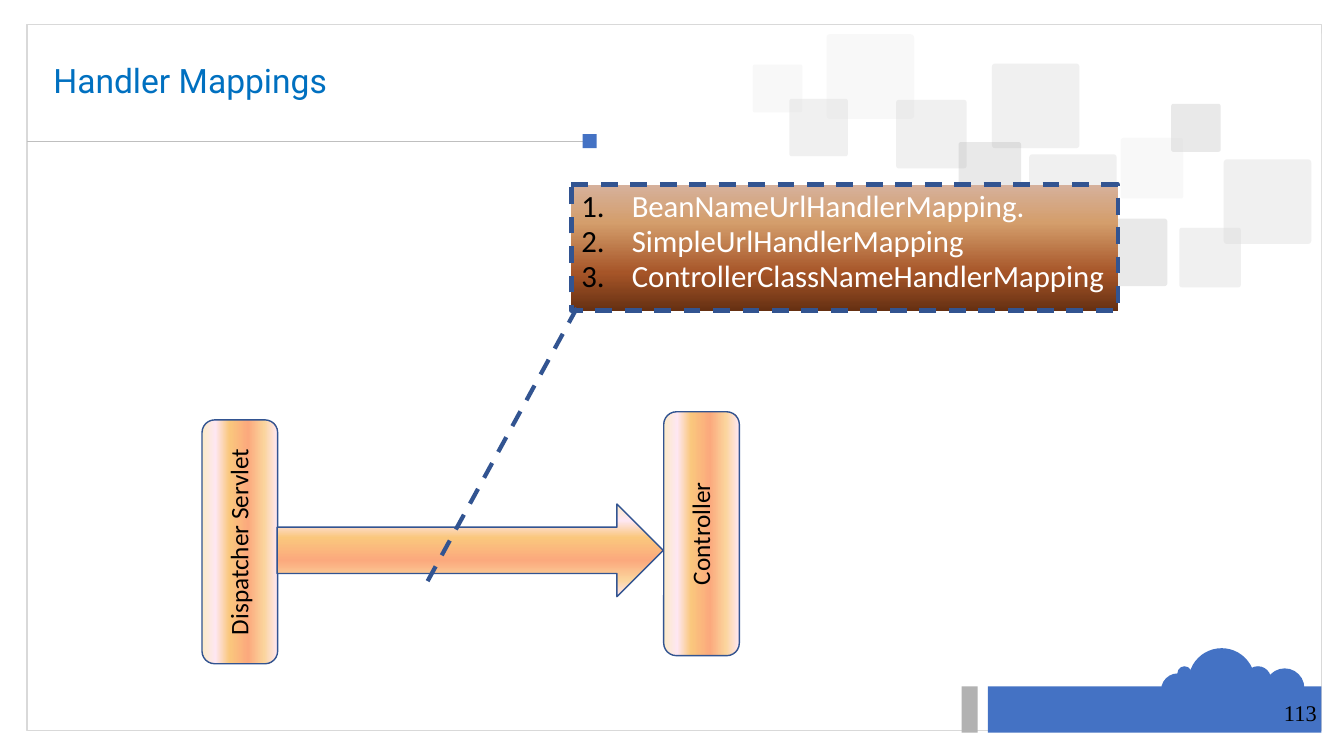
"""Builds the Handler Mappings slide: dispatcher, controller and a numbered callout."""
from lxml.etree import SubElement
from pptx import Presentation
from pptx.dml.color import RGBColor
from pptx.enum.dml import MSO_LINE
from pptx.enum.shapes import MSO_CONNECTOR, MSO_SHAPE
from pptx.enum.text import MSO_ANCHOR, PP_ALIGN
from pptx.oxml.ns import qn
from pptx.util import Pt

BLACK = RGBColor(0x00, 0x00, 0x00)
WHITE = RGBColor(0xFF, 0xFF, 0xFF)
BLUE = RGBColor(0x44, 0x72, 0xC4)
TITLE_BLUE = RGBColor(0x00, 0x70, 0xC0)
NAVY = RGBColor(0x32, 0x54, 0x91)
GREY = RGBColor(0xB2, 0xB2, 0xB2)
FRAME_GREY = RGBColor(0xD9, 0xD9, 0xD9)
RULE_GREY = RGBColor(0xBF, 0xBF, 0xBF)

PEACH = [(0, "FBEAC7"), (18, "FEE7F2"), (36, "FAC77D"),
         (61, "FBA97D"), (82, "FBD49C"), (100, "FEE7F2")]
BROWN = [(0, "D6B19C"), (30, "D49E6C"), (70, "A65528"), (100, "663012")]

TITLE = "Handler Mappings"
PAGE_NUMBER = "113"
MAPPINGS = ["BeanNameUrlHandlerMapping.", "SimpleUrlHandlerMapping",
            "ControllerClassNameHandlerMapping"]
PILLS = [("Dispatcher Servlet", 84.2, 360), ("Controller", 414, 354.2)]
PILL_SIZE = (174.2, 54)

TITLE_FONT = {"name": "Roboto", "size": Pt(24)}
NUMBER_FONT = {"name": "Times New Roman", "size": Pt(16)}
PILL_FONT = {"name": "Calibri", "size": Pt(18)}
MAPPING_FONT = {"name": "Calibri", "size": Pt(22)}

LARGE, MEDIUM, SMALL, TINY = (62.6, 60.5), (50.4, 49), (44.6, 43.2), (35.3, 34.2)
TILES = [
    (590.4, 24.5, LARGE, GREY, 16), (708.5, 45.4, LARGE, GREY, 36),
    (681.1, 159.1, LARGE, GREY, 36), (735.1, 110.2, LARGE, GREY, 36),
    (640.1, 71.3, MEDIUM, GREY, 36), (622.8, 135.4, MEDIUM, GREY, 16),
    (684.7, 101.5, SMALL, BLACK, 16), (836.6, 74.2, TINY, BLACK, 16),
    (800.6, 98.6, SMALL, GREY, 16), (784.1, 156.2, (49.7, 48.2), BLACK, 16),
    (563.8, 70.6, (41.8, 41), GREY, 35), (537.8, 46.1, TINY, GREY, 16),
    (874.1, 113.8, LARGE, GREY, 36), (842.4, 162.7, (43.9, 42.5), GREY, 36),
]
CLOUD = [(848.9, 463, 47.5), (829.4, 481, 23.8), (889.2, 475.9, 18.7),
         (903.6, 477.4, 28.1), (841, 475.9, 10.1)]


def add_shape(page, kind, place, fill=None, alpha=None, line=None, width=1):
    shape = page.shapes.add_shape(kind, *map(Pt, place))
    shape.shadow.inherit = False
    if isinstance(fill, list):
        set_gradient(shape, fill)
    elif fill is None:
        shape.fill.background()
    else:
        shape.fill.solid()
        shape.fill.fore_color.rgb = fill
    if alpha is not None:
        color = shape.fill._xPr.find(qn("a:solidFill"))[0]
        SubElement(color, qn("a:alpha"), val=str(alpha * 1000))
    if line is None:
        shape.line.fill.background()
    else:
        shape.line.color.rgb = line
        shape.line.width = Pt(width)
    return shape


def set_gradient(shape, stops):
    shape.fill.gradient()
    shape.fill.gradient_angle = 270
    stop_list = shape.fill._xPr.find(qn("a:gradFill")).find(qn("a:gsLst"))
    for old_stop in list(stop_list):
        stop_list.remove(old_stop)
    for position, color in stops:
        stop = SubElement(stop_list, qn("a:gs"), pos=str(position * 1000))
        SubElement(stop, qn("a:srgbClr"), val=color)


def add_numbering(para):
    properties = para._p.get_or_add_pPr()
    properties.set("marL", str(Pt(36)))
    properties.set("indent", str(Pt(-36)))
    bullet_color = SubElement(properties, qn("a:buClr"))
    SubElement(bullet_color, qn("a:srgbClr"), val=str(BLACK))
    SubElement(properties, qn("a:buAutoNum"), type="arabicPeriod")


def write(shape, lines, font, color, align=PP_ALIGN.LEFT, anchor=MSO_ANCHOR.TOP,
          spacing=1.0, wrap=True, numbered=False):
    frame = shape.text_frame
    frame.word_wrap = wrap
    frame.vertical_anchor = anchor
    for index, text in enumerate(lines):
        para = frame.paragraphs[0] if index == 0 else frame.add_paragraph()
        para.alignment = align
        para.line_spacing = spacing
        if numbered:
            add_numbering(para)
        span = para.add_run()
        span.text = text
        for name, value in font.items():
            setattr(span.font, name, value)
        span.font.color.rgb = color


def draw_background(page):
    add_shape(page, MSO_SHAPE.RECTANGLE, (19.4, 17.3, 924.5, 504.7), line=FRAME_GREY)
    add_shape(page, MSO_SHAPE.RECTANGLE, (705.6, 490.3, 238.3, 33.1), BLUE)
    add_shape(page, MSO_SHAPE.RECTANGLE, (686.9, 490.3, 11.5, 33.1), GREY)
    rule = page.shapes.add_connector(
        MSO_CONNECTOR.STRAIGHT, Pt(19.4), Pt(100.8), Pt(416.2), Pt(100.8))
    rule.line.color.rgb = RULE_GREY
    rule.line.width = Pt(0.5)
    SubElement(rule._element.spPr, qn("a:effectLst"))
    add_shape(page, MSO_SHAPE.RECTANGLE, (416.2, 95.8, 10.1, 10.1), BLUE)
    for left, top, size, color, alpha in TILES:
        tile = add_shape(page, MSO_SHAPE.ROUNDED_RECTANGLE, (left, top, *size), color, alpha)
        tile.adjustments[0] = 0.04
    add_shape(page, MSO_SHAPE.RECTANGLE, (512.6, 23.8, 431.3, 226.1), WHITE, 48)
    for left, top, diameter in CLOUD:
        add_shape(page, MSO_SHAPE.OVAL, (left, top, diameter, diameter), BLUE)
    number = page.shapes.add_textbox(*map(Pt, (910.1, 496.1, 38.9, 26.6)))
    write(number, [PAGE_NUMBER], NUMBER_FONT, BLACK, wrap=False)


def draw_content(page):
    title = page.shapes.add_textbox(*map(Pt, (31, 28.8, 896.4, 60.5)))
    write(title, [TITLE], TITLE_FONT, TITLE_BLUE, anchor=MSO_ANCHOR.MIDDLE, spacing=0.9)
    for label, left, top in PILLS:
        pill = add_shape(page, MSO_SHAPE.ROUNDED_RECTANGLE, (left, top, *PILL_SIZE),
                         PEACH, line=NAVY)
        pill.rotation = 270
        write(pill, [label], PILL_FONT, BLACK, PP_ALIGN.CENTER, MSO_ANCHOR.MIDDLE, 0.95)
    add_shape(page, MSO_SHAPE.RIGHT_ARROW, (198, 360, 275.8, 66.2), PEACH, line=NAVY)
    callout = add_shape(page, MSO_SHAPE.LINE_CALLOUT_1, (408.2, 131.8, 390.2, 90),
                        BROWN, line=NAVY, width=3)
    callout.line.dash_style = MSO_LINE.DASH
    for index, value in enumerate((0.98, 0.01, 3.2, -0.27)):
        callout.adjustments[index] = value
    write(callout, MAPPINGS, MAPPING_FONT, WHITE, spacing=0.95, numbered=True)


def main():
    deck = Presentation()
    deck.slide_width, deck.slide_height = Pt(960), Pt(540)
    page = deck.slides.add_slide(deck.slide_layouts[6])
    draw_background(page)
    draw_content(page)
    deck.save("out.pptx")


if __name__ == "__main__":
    main()
